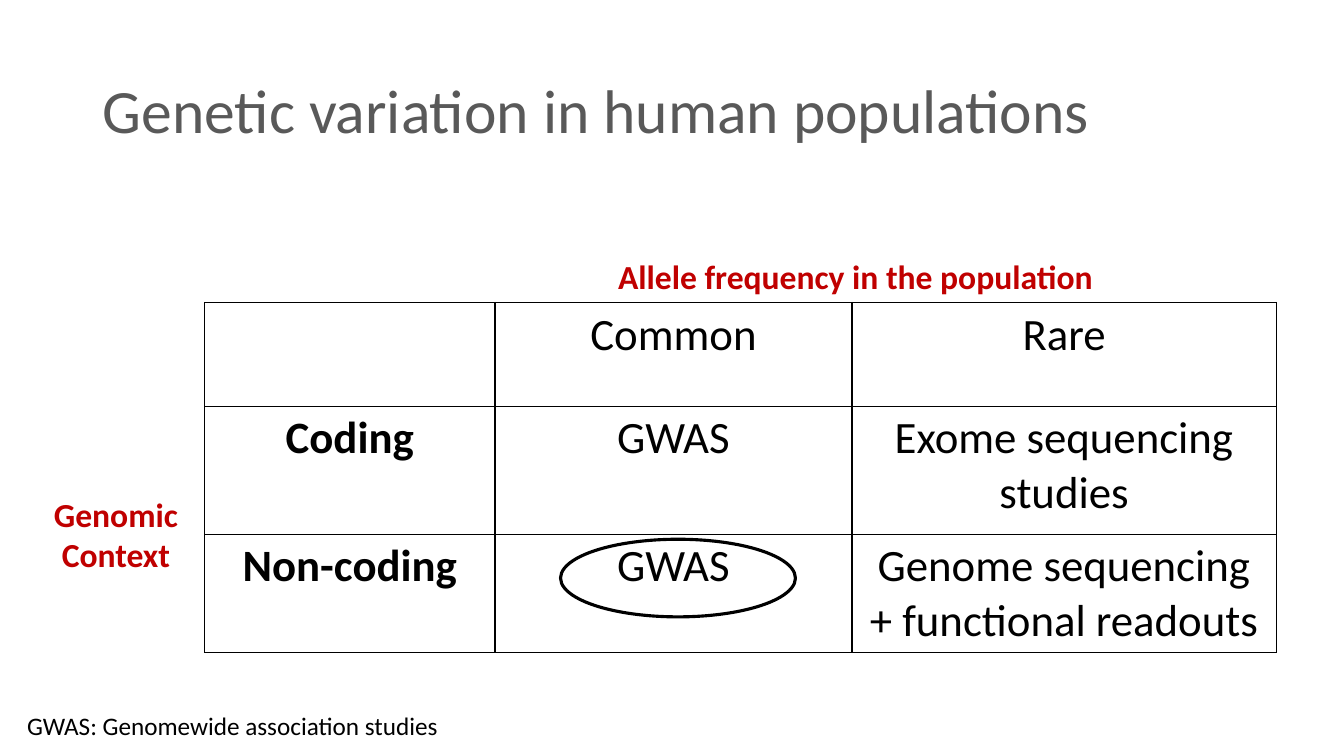
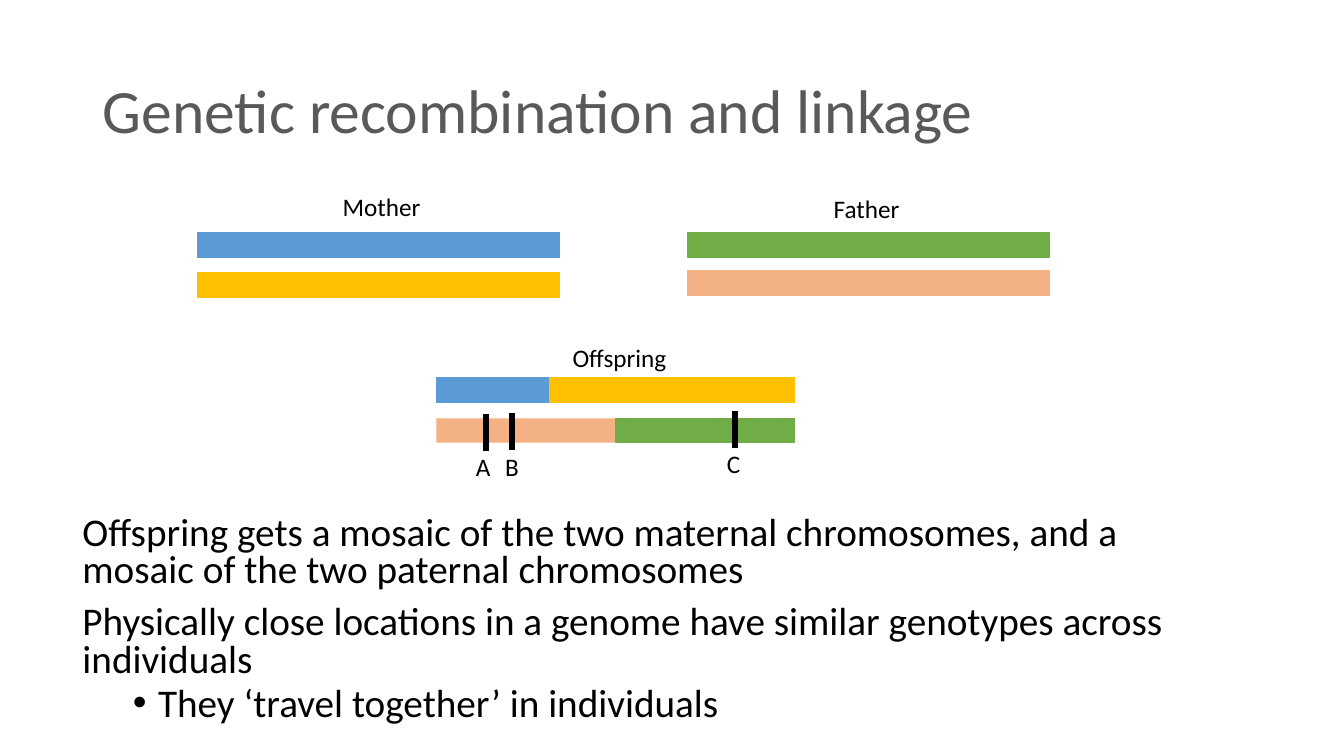
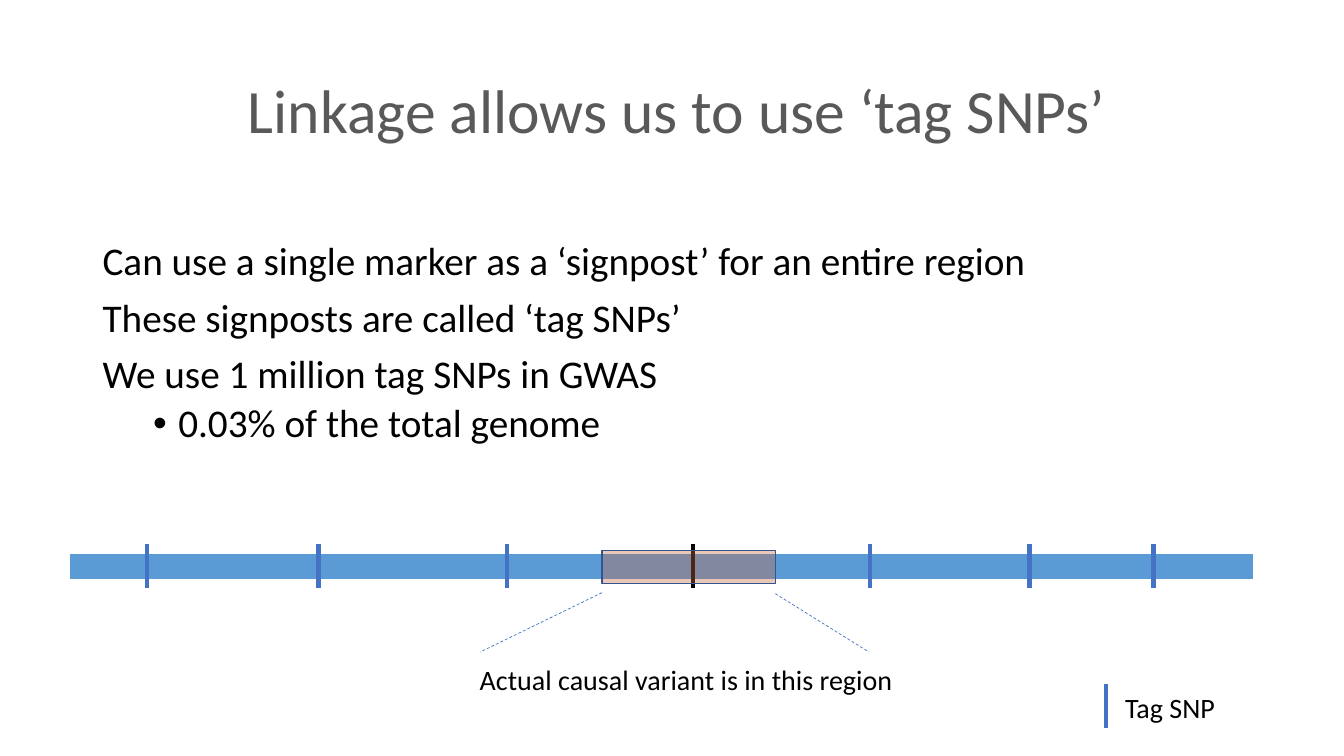
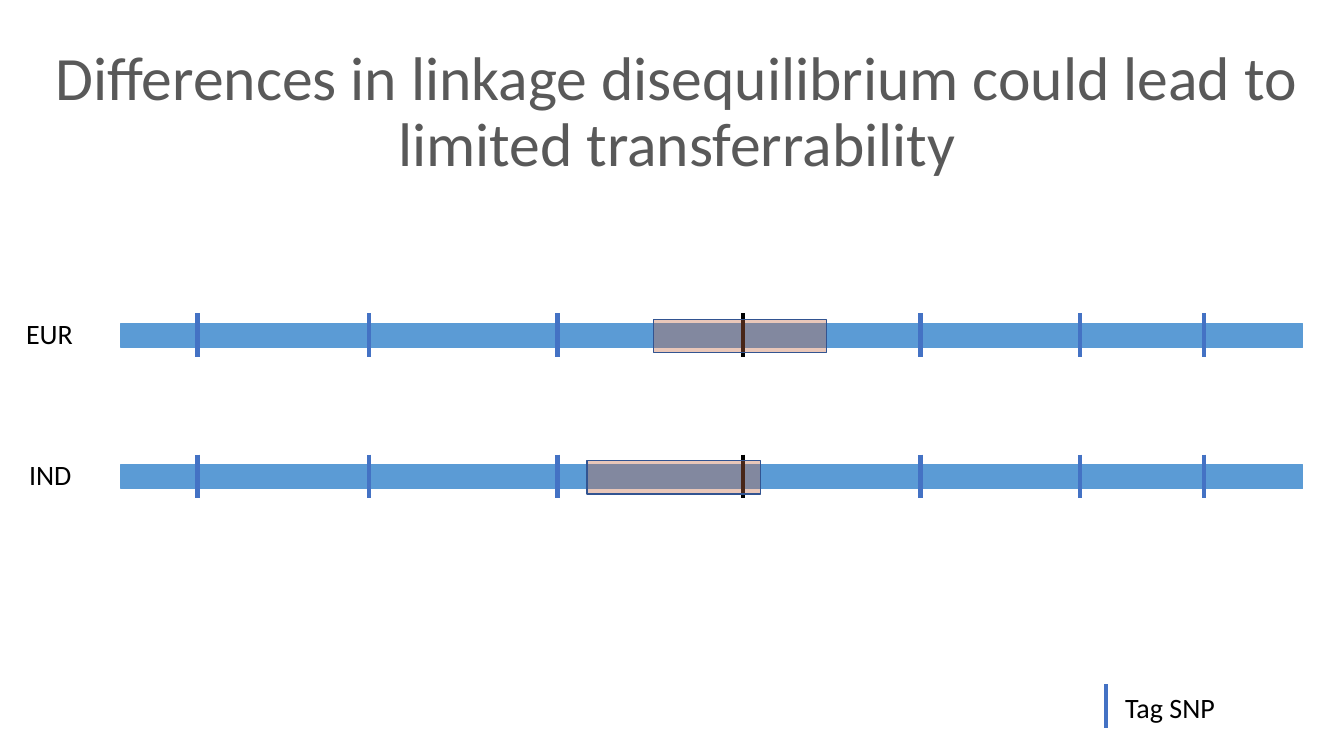
"""Build four slides on genetic variation, linkage and tag SNPs."""
from lxml import etree
from pptx import Presentation
from pptx.dml.color import RGBColor
from pptx.enum.dml import MSO_LINE
from pptx.enum.shapes import MSO_CONNECTOR, MSO_SHAPE
from pptx.enum.text import MSO_ANCHOR, PP_ALIGN
from pptx.oxml.ns import qn
from pptx.util import Inches, Pt

RECT, OVAL = MSO_SHAPE.RECTANGLE, MSO_SHAPE.OVAL
STRAIGHT, DASH = MSO_CONNECTOR.STRAIGHT, MSO_LINE.DASH
LEFT, CENTER = PP_ALIGN.LEFT, PP_ALIGN.CENTER
TOP, MIDDLE = MSO_ANCHOR.TOP, MSO_ANCHOR.MIDDLE

FONT = "Calibri"
BLACK, GRAY, RED = "000000", "595959", "C00000"
BLUE, GOLD, GREEN, PEACH = "5B9BD5", "FFC000", "70AD47", "F4B183"
TAG_BLUE, REGION_FILL, REGION_LINE = "4472C4", "C56843", "325491"
NARROW_TITLE, WIDE_TITLE = (0.92, 0.4, 11.5, 1.45), (0.27, 0.4, 12.89, 1.45)

STUDY_COLS = [2.88, 3.54, 4.21]
STUDY_ROWS = [1.03, 1.27, 1.17]
STUDIES = [
    ["", "Common", "Rare"],
    ["Coding", "GWAS", "Exome sequencing studies"],
    ["Non-coding", "GWAS", "Genome sequencing + functional readouts"],
]

BAR_H = 0.24
CHROMOSOMES = [
    (1.96, 2.31, 3.59, BLUE, BLUE),
    (1.96, 2.71, 3.59, GOLD, GOLD),
    (6.82, 2.31, 3.59, GREEN, GREEN),
    (6.82, 2.69, 3.59, PEACH, PEACH),
    (4.33, 3.75, 1.78, BLUE, BLUE),
    (4.33, 4.15, 2.33, PEACH, "F8CBAD"),
    (5.45, 3.75, 2.43, GOLD, GOLD),
    (6.11, 4.15, 1.77, GREEN, GREEN),
]
PEOPLE = [("Mother", 3.3, 1.85), ("Father", 8.17, 1.87), ("Offspring", 5.58, 3.35)]
LOCI = [("A", 4.82, 4.11, 4.72, 4.48), ("B", 5.08, 4.1, 5.01, 4.48),
        ("C", 7.29, 4.08, 7.21, 4.45)]
LINKAGE_POINTS = [
    (0, "Offspring gets a mosaic of the two maternal chromosomes, "
        "and a mosaic of the two paternal chromosomes"),
    (0, "Physically close locations in a genome have similar genotypes across individuals"),
    (1, "They ‘travel together’ in individuals"),
]

TAG_POINTS = [
    (0, "Can use a single marker as a ‘signpost’ for an entire region"),
    (0, "These signposts are called ‘tag SNPs’"),
    (0, "We use 1 million tag SNPs in GWAS"),
    (1, "0.03% of the total genome"),
]
TAG_OFFSETS = [0.76, 2.46, 4.33, 7.93, 9.51, 10.74]
CAUSAL_OFFSET = 6.17
CALLOUTS = [((5.97, 5.88), (4.76, 6.47)), ((7.69, 5.89), (8.62, 6.47))]
POPULATIONS = [("EUR", 0.16, 3.21, 5.28), ("IND", 0.19, 4.61, 4.62)]


def rgb(color):
    """Turn a hex string into a colour."""
    return RGBColor.from_string(color)


def write(tf, items, size=18, color=BLACK, bold=False, align=LEFT, spacing=None):
    """Fill a text frame with (level, text) paragraphs."""
    for i, (level, text) in enumerate(items):
        p = tf.paragraphs[0] if i == 0 else tf.add_paragraph()
        p.alignment = align
        if spacing:
            p.line_spacing = spacing
            p.space_before = Pt(0 if i == 0 else 5 if level else 10)
        if level:
            pPr = p._p.get_or_add_pPr()
            pPr.set("marL", str(Inches(0.75)))
            pPr.set("indent", str(Inches(-0.25)))
            etree.SubElement(pPr, qn("a:buFont")).set("typeface", "Arial")
            etree.SubElement(pPr, qn("a:buChar")).set("char", "•")
        r = p.add_run()
        r.text = text
        r.font.name, r.font.size, r.font.bold = FONT, Pt(size), bold
        r.font.color.rgb = rgb(color)


def add_text(s, box, text, wrap=True, anchor=TOP, inset=True, **fmt):
    """Add a text box holding a string or a list of (level, text)."""
    tf = s.shapes.add_textbox(*map(Inches, box)).text_frame
    tf.word_wrap, tf.vertical_anchor = wrap, anchor
    if not inset:
        tf.margin_left = tf.margin_right = tf.margin_top = tf.margin_bottom = 0
    write(tf, [(0, text)] if isinstance(text, str) else text, **fmt)


def add_shape(s, kind, box, line, fill=None, width=1, alpha=None):
    """Add an outlined shape, optionally filled and translucent."""
    sp = s.shapes.add_shape(kind, *map(Inches, box))
    sp.shadow.inherit = False
    sp.line.color.rgb, sp.line.width = rgb(line), Pt(width)
    if fill is None:
        sp.fill.background()
        return
    sp.fill.solid()
    sp.fill.fore_color.rgb = rgb(fill)
    if alpha:
        clr = sp._element.spPr.find(qn("a:solidFill"))[0]
        etree.SubElement(clr, qn("a:alpha")).set("val", str(alpha * 1000))


def add_line(s, start, end, color, width, dash=None):
    """Add a straight line without shadow."""
    ln = s.shapes.add_connector(STRAIGHT, *map(Inches, start + end))
    ln.line.color.rgb, ln.line.width = rgb(color), Pt(width)
    if dash:
        ln.line.dash_style = dash
    etree.SubElement(ln._element.spPr, qn("a:effectLst"))


def add_slide(prs, title, box=NARROW_TITLE, align=LEFT):
    """Add a blank slide with the shared title style."""
    s = prs.slides.add_slide(prs.slide_layouts[6])
    add_text(s, box, title, anchor=MIDDLE, size=44, color=GRAY, align=align, spacing=0.9)
    return s


def border_cell(cell):
    """Draw thin black borders around a cell with no fill."""
    cell.fill.background()
    tcPr = cell._tc.get_or_add_tcPr()
    for i, side in enumerate(("lnL", "lnR", "lnT", "lnB")):
        ln = etree.Element(qn(f"a:{side}"), w=str(Pt(1)))
        fill = etree.SubElement(ln, qn("a:solidFill"))
        etree.SubElement(fill, qn("a:srgbClr")).set("val", BLACK)
        tcPr.insert(i, ln)


def add_studies(s):
    """Add the table of study types."""
    box = (2.03, 3, sum(STUDY_COLS), sum(STUDY_ROWS))
    table = s.shapes.add_table(len(STUDY_ROWS), len(STUDY_COLS), *map(Inches, box)).table
    table.first_row = table.horz_banding = False
    for col, width in zip(table.columns, STUDY_COLS):
        col.width = Inches(width)
    for y, (row, height) in enumerate(zip(STUDIES, STUDY_ROWS)):
        table.rows[y].height = Inches(height)
        for x, text in enumerate(row):
            cell = table.cell(y, x)
            border_cell(cell)
            if text:
                write(cell.text_frame, [(0, text)], size=32, bold=x == 0, align=CENTER)


def add_tick(s, x, y, color=TAG_BLUE):
    """Add a marker tick."""
    add_line(s, (x, y), (x, y + 0.43), color, 3)


def add_genome(s, x, y, region):
    """Add a genome bar with tag SNPs, causal variant and its region."""
    add_shape(s, RECT, (x, y, 11.72, BAR_H), BLUE, BLUE)
    for offset in TAG_OFFSETS:
        add_tick(s, x + offset, y - 0.1)
    add_tick(s, x + CAUSAL_OFFSET, y - 0.1, BLACK)
    add_shape(s, RECT, (x + region, y - 0.04, 1.72, 0.33), REGION_LINE, REGION_FILL, alpha=37)


def add_legend(s):
    """Add the tag SNP legend."""
    add_tick(s, 10.97, 6.79)
    add_text(s, (11.06, 6.8, 1.1, 0.44), "Tag SNP", wrap=False, size=20)


def variation_slide(prs):
    """Show the study types by frequency and context."""
    s = add_slide(prs, "Genetic variation in human populations")
    heading = dict(size=24, color=RED, bold=True, align=CENTER)
    add_text(s, (0, 4.85, 2.3, 0.91), [(0, "Genomic"), (0, "Context")], **heading)
    add_studies(s)
    add_text(s, (5.64, 2.49, 5.69, 0.5), "Allele frequency in the population", **heading)
    add_text(s, (0.17, 7, 4.32, 0.4), "GWAS: Genomewide association studies", wrap=False)
    add_shape(s, OVAL, (5.56, 5.35, 2.33, 0.77), BLACK, width=2.25)


def recombination_slide(prs):
    """Show parental chromosomes and the offspring mosaic."""
    s = add_slide(prs, "Genetic recombination and linkage")
    add_text(s, (0.72, 5.07, 11.16, 2.19), LINKAGE_POINTS, size=28, spacing=0.8)
    for x, y, width, fill, line in CHROMOSOMES:
        add_shape(s, RECT, (x, y, width, BAR_H), line, fill)
    for name, x, y in PEOPLE:
        add_text(s, (x, y, 1.78, 0.4), name)
    for name, x, y, label_x, label_y in LOCI:
        add_line(s, (x, y), (x, y + 0.36), BLACK, 4.5)
        add_text(s, (label_x, label_y, 0.25, 0.3), name, inset=False)


def tag_slide(prs):
    """Explain tag SNPs along one genome bar."""
    s = add_slide(prs, "Linkage allows us to use ‘tag SNPs’", WIDE_TITLE, CENTER)
    add_text(s, (0.92, 2.35, 11.5, 3.52), TAG_POINTS, size=28, spacing=0.9)
    add_genome(s, 0.7, 5.5, 5.27)
    add_legend(s)
    for start, end in CALLOUTS:
        add_line(s, start, end, TAG_BLUE, 0.5, DASH)
    add_text(s, (4.66, 6.52, 4.34, 0.44), "Actual causal variant is in this region",
             wrap=False, size=20)


def transfer_slide(prs):
    """Compare the causal region in two populations."""
    s = add_slide(prs, "Differences in linkage disequilibrium could lead to "
                       "limited transferrability", WIDE_TITLE, CENTER)
    for name, label_x, y, region in POPULATIONS:
        add_genome(s, 1.2, y, region)
        add_text(s, (label_x, y - 0.12, 0.67, 0.44), name, wrap=False, size=20)
    add_legend(s)


def main():
    """Build and save the slides."""
    prs = Presentation()
    prs.slide_width, prs.slide_height = Inches(13.33), Inches(7.5)
    for build in (variation_slide, recombination_slide, tag_slide, transfer_slide):
        build(prs)
    prs.save("out.pptx")


if __name__ == "__main__":
    main()
